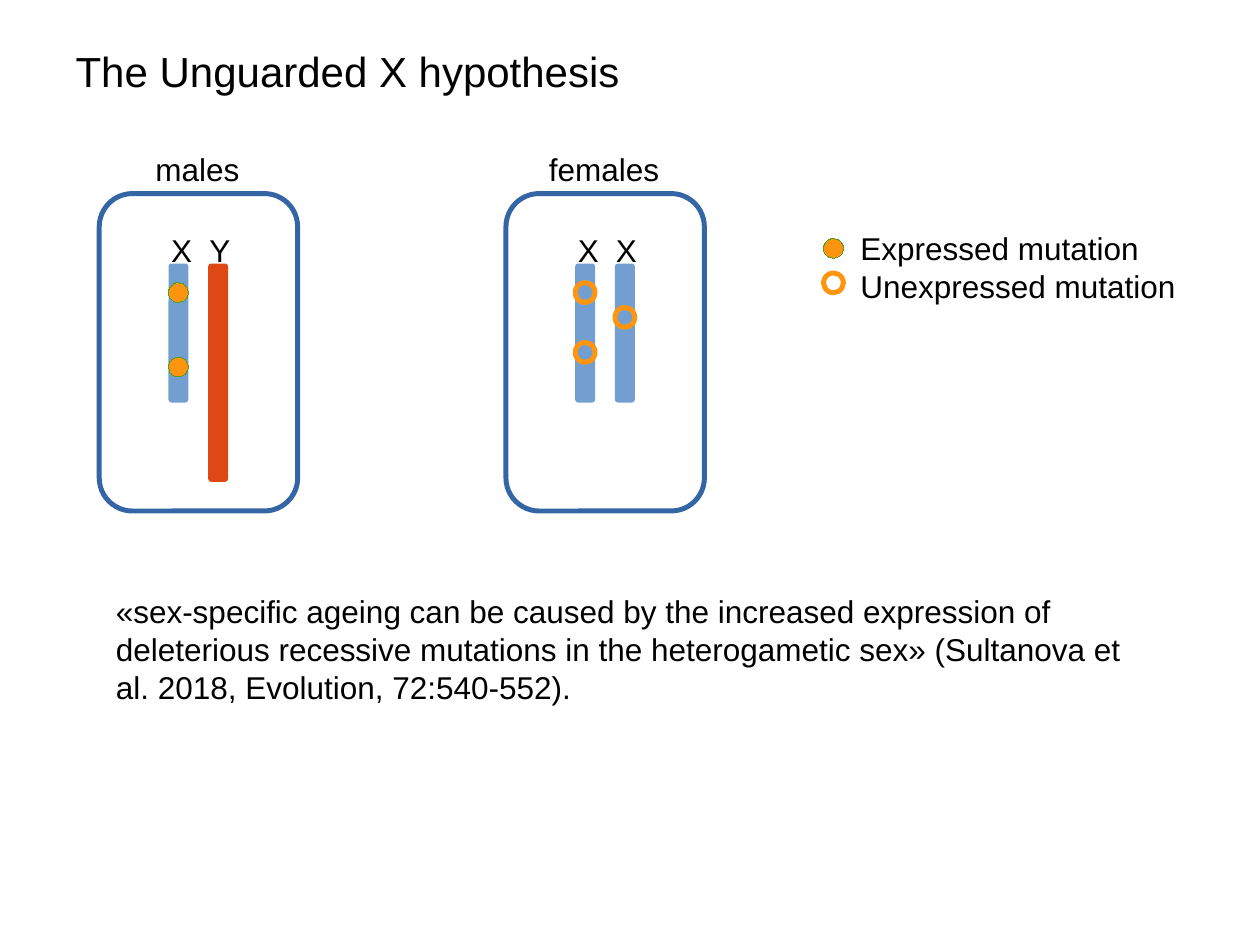
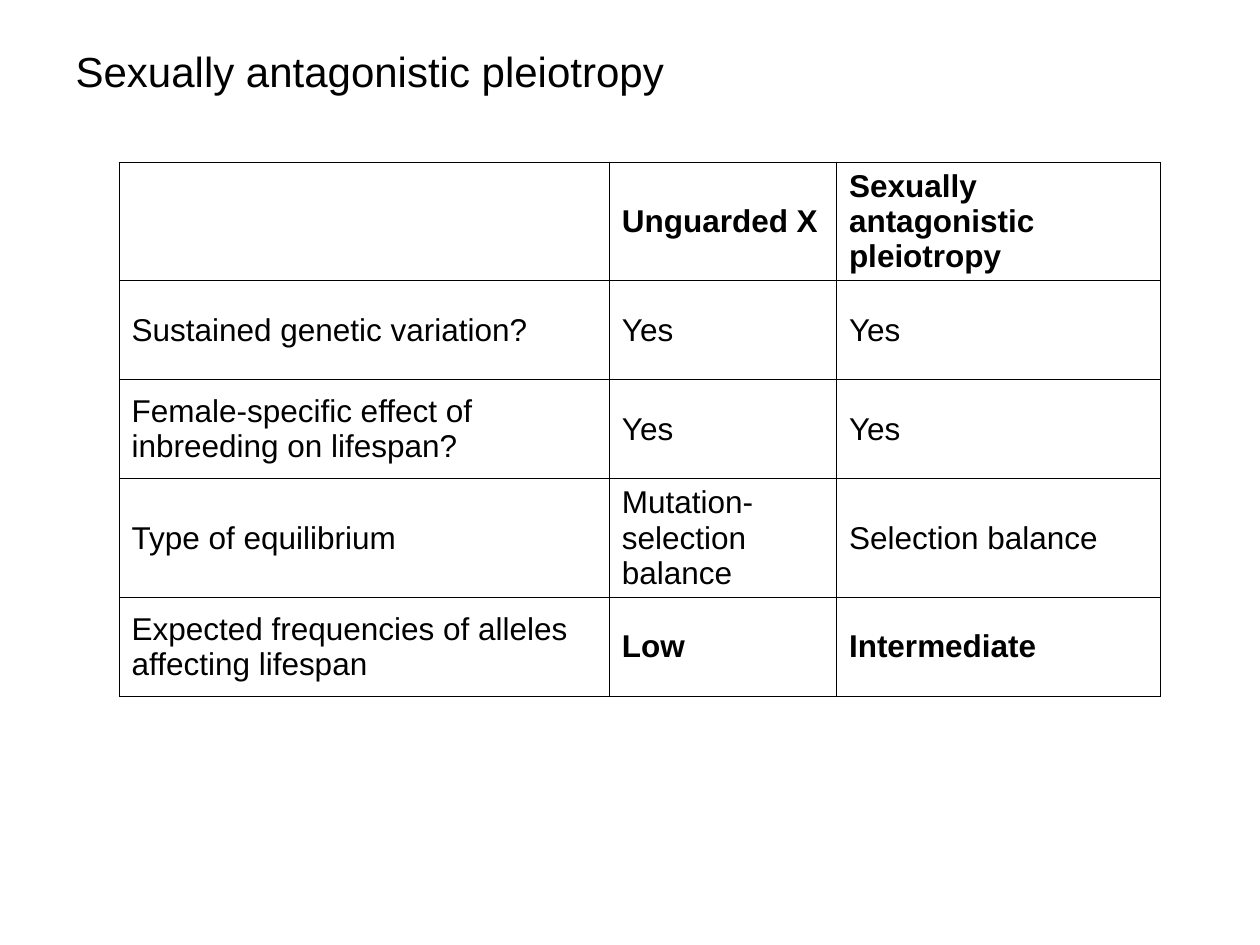
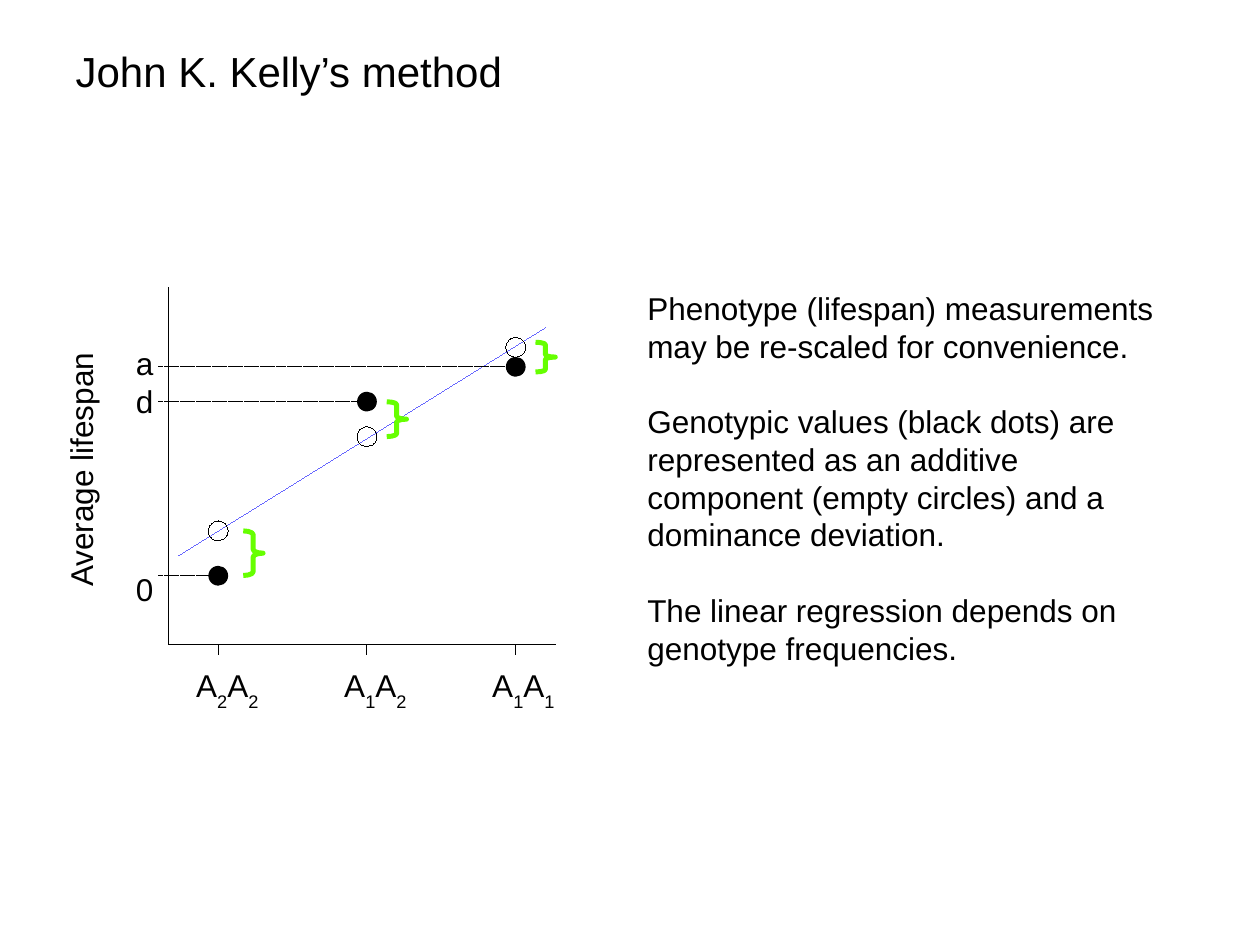
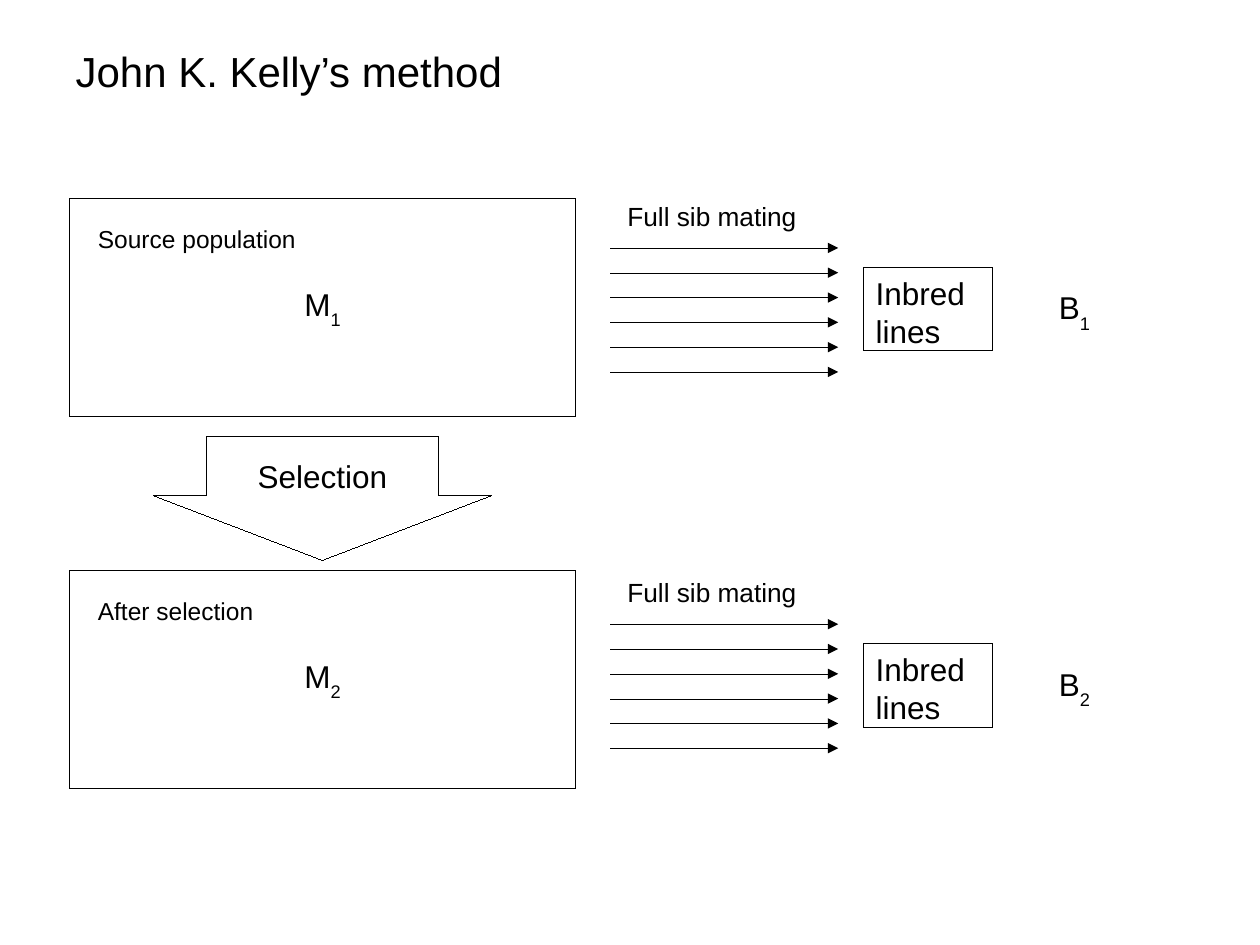
"""Builds four slides on sex-specific ageing and Kelly's method."""
from lxml import etree
from pptx import Presentation
from pptx.dml.color import RGBColor
from pptx.enum.dml import MSO_LINE
from pptx.enum.shapes import MSO_CONNECTOR, MSO_SHAPE
from pptx.enum.text import MSO_ANCHOR, MSO_AUTO_SIZE, PP_ALIGN
from pptx.oxml.ns import qn
from pptx.util import Pt

OVAL, RECT, ROUND = MSO_SHAPE.OVAL, MSO_SHAPE.RECTANGLE, MSO_SHAPE.ROUNDED_RECTANGLE
DOWN_ARROW, BRACE = MSO_SHAPE.DOWN_ARROW, MSO_SHAPE.RIGHT_BRACE
STRAIGHT, DASH = MSO_CONNECTOR.STRAIGHT, MSO_LINE.SQUARE_DOT
TOP, MIDDLE = MSO_ANCHOR.TOP, MSO_ANCHOR.MIDDLE
LEFT, CENTER = PP_ALIGN.LEFT, PP_ALIGN.CENTER
NO_RESIZE = MSO_AUTO_SIZE.NONE

FONT = "Arial"
BLACK, CELL_BLUE, X_BLUE, Y_RED = "000000", "3465A4", "729FCF", "DD4814"
ORANGE, DOT_GREEN, FIT_BLUE, BRACE_GREEN = "FF950E", "579D1C", "6666FF", "66FF00"
HAIRLINE, THICK = 0, 2.83
LINE_HEIGHT = 21.5
DOT = 11.3

TITLES = ["The Unguarded X hypothesis", "Sexually antagonistic pleiotropy",
          "John K. Kelly’s method", "John K. Kelly’s method"]

CELLS = [
    {"name": "males", "left": 56.7, "label": "X\tY", "expressed": True,
     "chromosomes": [(X_BLUE, 79.4), (Y_RED, 124.7)],
     "mutations": [(0, 161.5), (0, 204)]},
    {"name": "females", "left": 289.1, "label": "X\tX", "expressed": False,
     "chromosomes": [(X_BLUE, 79.4), (X_BLUE, 79.4)],
     "mutations": [(0, 161.5), (1, 175.7), (0, 195.7)]},
]
LEGEND = [("Expressed mutation", True, 136.2), ("Unexpressed mutation", False, 156)]
QUOTE = ("«sex-specific ageing can be caused by the increased expression of deleterious "
         "recessive mutations in the heterogametic sex» (Sultanova et al. 2018, "
         "Evolution, 72:540-552).")

COMPARISON = [
    ["", "Unguarded X", "Sexually antagonistic pleiotropy"],
    ["Sustained genetic variation?", "Yes", "Yes"],
    ["Female-specific effect of inbreeding on lifespan?", "Yes", "Yes"],
    ["Type of equilibrium", "Mutation-selection balance", "Selection balance"],
    ["Expected frequencies of alleles affecting lifespan", "Low", "Intermediate"],
]
BOLD_ROWS = (0, len(COMPARISON) - 1)
COLUMN_WIDTHS, ROW_HEIGHT = [280.2, 129.8, 185.2], 56.6

GENOTYPES = "A_2A_2\tA_1A_2\tA_1A_1"
GENOTYPE_POINTS = [{"value": 329, "additive": 303.3, "brace": (139, 303.4, 25.5)},
                   {"value": 229.5, "additive": 249.5, "brace": (221, 229.6, 19.9)},
                   {"value": 209.6, "additive": 198.4, "brace": (306, 195.6, 17)}]
FIRST_TICK, TICK_GAP, AXIS_LEFT, AXIS_BOTTOM = 124.7, 85, 96.4, 368.4
GENOTYPE_TAB = 84.6
METHOD_NOTES = [
    "Phenotype (lifespan) measurements may be re-scaled for convenience.",
    "Genotypic values (black dots) are represented as an additive component "
    "(empty circles) and a dominance deviation.",
    "The linear regression depends on genotype frequencies.",
]

POPULATIONS = [("Source population", "M_1", "B_1", 113.4, 0),
               ("After selection", "M_2", "B_2", 326, 215)]
MATING_ARROWS, MATING_GAP = 6, 14.17


def colour(hex_string):
    return RGBColor.from_string(hex_string)


def add_spans(para, text, size=18, bold=False):
    """Adds text run by run; the character after an underscore is a subscript."""
    first, *rest = text.split("_")
    pieces = [(first, False)]
    for part in rest:
        pieces += [(part[0], True), (part[1:], False)]
    for words, lowered in pieces:
        if words:
            span = para.add_run()
            span.text = words
            font = span.font
            font.name, font.size, font.bold = FONT, Pt(size), bold
            font.color.rgb = colour(BLACK)
            if lowered:
                span._r.get_or_add_rPr().set("baseline", "-33000")


def set_tabs(para, stops):
    tab_list = etree.SubElement(para._p.get_or_add_pPr(), qn("a:tabLst"))
    for stop in stops:
        etree.SubElement(tab_list, qn("a:tab"), pos=str(Pt(stop)), algn="l")


def write(box, paragraphs, size=18, align=LEFT, anchor=TOP, wrap=True, gaps=None, tabs=()):
    """Fills a shape with paragraphs; gaps holds the space before each one."""
    frame = box.text_frame
    frame.word_wrap, frame.auto_size, frame.vertical_anchor = wrap, NO_RESIZE, anchor
    for index, text in enumerate(paragraphs):
        para = frame.add_paragraph() if index else frame.paragraphs[0]
        para.alignment = align
        if gaps and gaps[index]:
            para.space_before = Pt(gaps[index])
        if tabs:
            set_tabs(para, tabs)
        add_spans(para, text, size)


def add_text(page, area, *paragraphs, **style):
    box = page.shapes.add_textbox(*map(Pt, area))
    write(box, paragraphs, **style)
    return box


def set_line(shape, line, width=HAIRLINE):
    """Colours a line and writes its width, which python-pptx skips when zero."""
    shape.line.color.rgb = colour(line)
    outline = shape._element.spPr.find(qn("a:ln"))
    outline.set("w", str(Pt(width)))
    return outline


def add_figure(page, kind, area, fill=None, line=None, width=HAIRLINE, adjust=()):
    figure = page.shapes.add_shape(kind, *map(Pt, area))
    figure.shadow.inherit = False
    for index, value in enumerate(adjust):
        figure.adjustments[index] = value
    if fill:
        figure.fill.solid()
        figure.fill.fore_color.rgb = colour(fill)
    else:
        figure.fill.background()
    if line:
        set_line(figure, line, width)
    else:
        figure.line.fill.background()
    return figure


def add_line(page, ends, line=BLACK, dash=None, arrow=False):
    connector = page.shapes.add_connector(STRAIGHT, *map(Pt, ends))
    outline = set_line(connector, line)
    if dash:
        connector.line.dash_style = dash
    if arrow:
        etree.SubElement(outline, qn("a:tailEnd"), type="triangle")
    etree.SubElement(connector._element.spPr, qn("a:effectLst"))


def add_mutation(page, left, top, expressed):
    look = (ORANGE, DOT_GREEN, HAIRLINE) if expressed else (None, ORANGE, THICK)
    add_figure(page, OVAL, (left, top, DOT, DOT), *look)


def add_page(deck, title):
    page = deck.slides.add_slide(deck.slide_layouts[5])
    box = page.shapes.title
    box.left, box.top, box.width, box.height = map(Pt, (36, 22.5, 406, 30))
    write(box, [title], size=24)
    return page


def draw_hypothesis(page):
    for cell in CELLS:
        left = cell["left"]
        bars = [left + 39.6, left + 62.3]
        for bar, (fill, height) in zip(bars, cell["chromosomes"]):
            add_figure(page, ROUND, (bar, 150.6, DOT, height), fill, adjust=[0.15])
        add_text(page, (left + 34, 128.2, 70, 27.4), cell["label"], tabs=[21.8])
        add_figure(page, ROUND, (left, 110.6, 113.4, 181.4), None, CELL_BLUE, THICK, [0.167])
        add_text(page, (left - 0.6, 82, 113.4, 27.4), cell["name"], align=CENTER)
        for bar, top in cell["mutations"]:
            add_mutation(page, bars[bar], top, cell["expressed"])
    for _, expressed, top in LEGEND:
        add_mutation(page, 470.6, top, expressed)
    add_text(page, (484.6, 127.4, 200, 47.5), *[name for name, _, _ in LEGEND])
    add_text(page, (59.1, 334.8, 604, 67.7), QUOTE)


def draw_borders(cell):
    properties = cell._tc.get_or_add_tcPr()
    for side in ("a:lnL", "a:lnR", "a:lnT", "a:lnB"):
        border = etree.SubElement(properties, qn(side), w=str(Pt(0.57)))
        fill = etree.SubElement(border, qn("a:solidFill"))
        etree.SubElement(fill, qn("a:srgbClr"), val=BLACK)


def draw_comparison(page):
    rows, columns = len(COMPARISON), len(COLUMN_WIDTHS)
    area = (68, 92.8, sum(COLUMN_WIDTHS), rows * ROW_HEIGHT)
    table = page.shapes.add_table(rows, columns, *map(Pt, area)).table
    table.first_row = table.horz_banding = False
    for column, width in zip(table.columns, COLUMN_WIDTHS):
        column.width = Pt(width)
    for row_index, texts in enumerate(COMPARISON):
        table.rows[row_index].height = Pt(ROW_HEIGHT)
        for column_index, text in enumerate(texts):
            cell = table.cell(row_index, column_index)
            draw_borders(cell)
            cell.fill.background()
            cell.vertical_anchor = MIDDLE
            bold = row_index in BOLD_ROWS and column_index > 0
            add_spans(cell.text_frame.paragraphs[0], text, bold=bold)


def draw_regression(page):
    add_line(page, (AXIS_LEFT, 164.4, AXIS_LEFT, AXIS_BOTTOM))
    add_line(page, (AXIS_LEFT, AXIS_BOTTOM, 317.5, AXIS_BOTTOM))
    add_line(page, (102, 317.5, 312, 187), FIT_BLUE)
    for index, point in enumerate(GENOTYPE_POINTS):
        tick = FIRST_TICK + index * TICK_GAP
        dot_left = tick - DOT / 2
        add_line(page, (tick, AXIS_BOTTOM, tick, AXIS_BOTTOM + 5.7))
        add_line(page, (90.7, point["value"], dot_left, point["value"]), dash=DASH)
        add_figure(page, OVAL, (dot_left, point["value"] - DOT / 2, DOT, DOT), BLACK)
        add_figure(page, OVAL, (dot_left, point["additive"] - DOT / 2, DOT, DOT), None, BLACK)
        left, top, height = point["brace"]
        add_figure(page, BRACE, (left, top, DOT, height), None, BRACE_GREEN, THICK,
                   [height / 12 / DOT, 0.5])
    add_text(page, (105, 377.2, 220, 31.7), GENOTYPES, tabs=[GENOTYPE_TAB, 2 * GENOTYPE_TAB])
    add_text(page, (362.8, 161.5, 312, 209), *METHOD_NOTES, gaps=[0, LINE_HEIGHT, LINE_HEIGHT])
    add_text(page, (70.6, 193, 24.5, 148), "a", "d", "0", gaps=[0, 0, 4 * LINE_HEIGHT])
    label = add_text(page, (-28.6, 254.8, 148, 27.4), "Average lifespan", wrap=False)
    label.rotation = 270


def draw_selection(page):
    for name, mean, variance, top, shift in POPULATIONS:
        population = add_figure(page, RECT, (39.7, top, 289.2, 124.7), None, BLACK)
        write(population, [mean], align=CENTER, anchor=MIDDLE, wrap=False)
        add_text(page, (48.8, top + 11.3, 140, 23), name, size=14)
        add_text(page, (351.4, 110.7 + shift, 120, 24), "Full sib mating", size=15)
        for index in range(MATING_ARROWS):
            height = 141.7 + shift + index * MATING_GAP
            add_line(page, (348.7, height, 479, height), arrow=True)
        lines = add_figure(page, RECT, (493.3, 153 + shift, 73.7, 47.5), None, BLACK)
        write(lines, ["Inbred lines"])
        add_text(page, (598, 161.3 + shift, 36, 31.7), variance)
    arrow = add_figure(page, DOWN_ARROW, (87.7, 249.4, 193, 70.8), None, BLACK,
                       adjust=[0.687, 0.522])
    write(arrow, ["Selection"], align=CENTER, anchor=MIDDLE, wrap=False)


def main():
    deck = Presentation()
    deck.slide_width, deck.slide_height = Pt(720), Pt(540)
    drawings = [draw_hypothesis, draw_comparison, draw_regression, draw_selection]
    for title, draw in zip(TITLES, drawings):
        draw(add_page(deck, title))
    deck.save("out.pptx")


if __name__ == "__main__":
    main()
